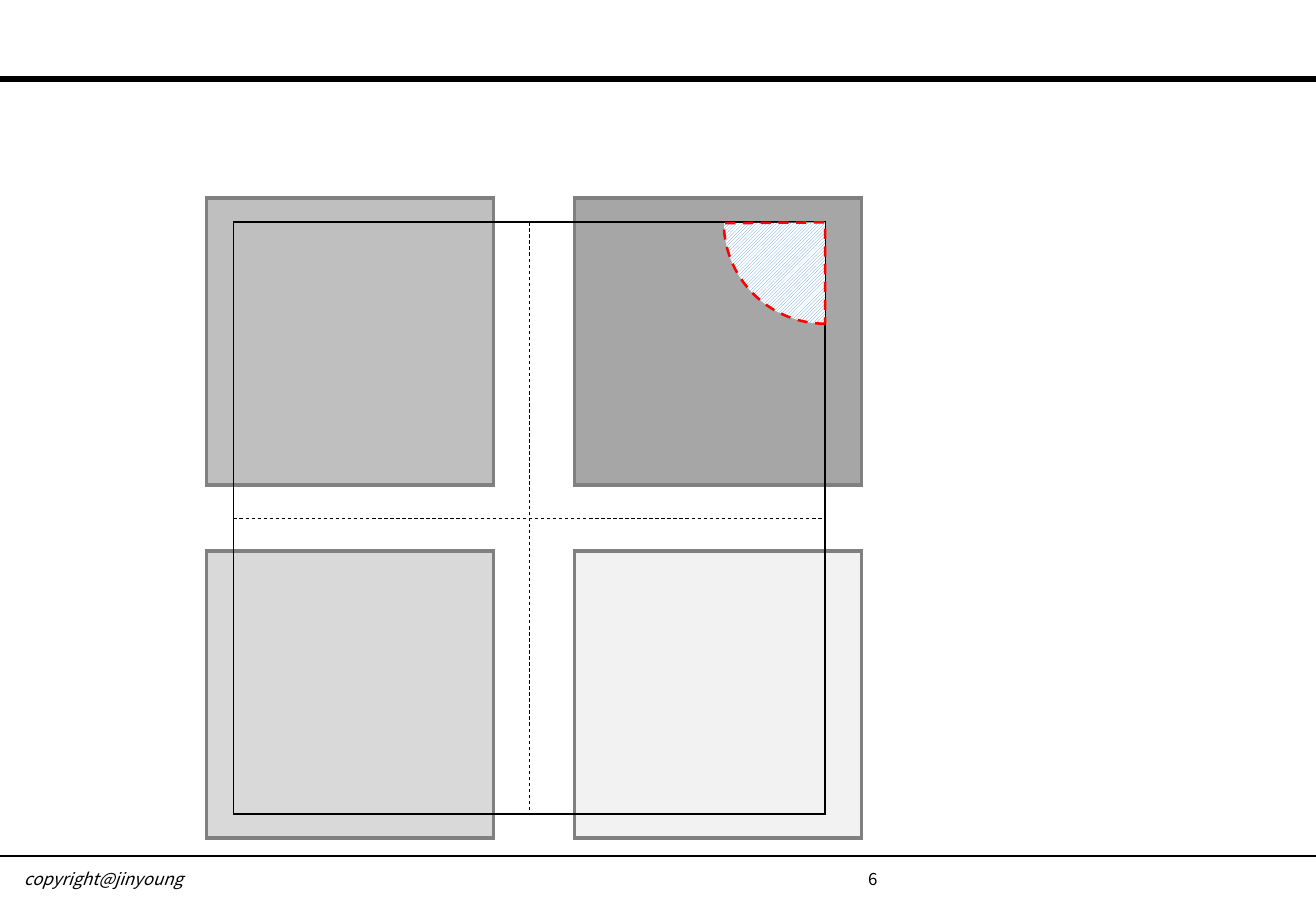
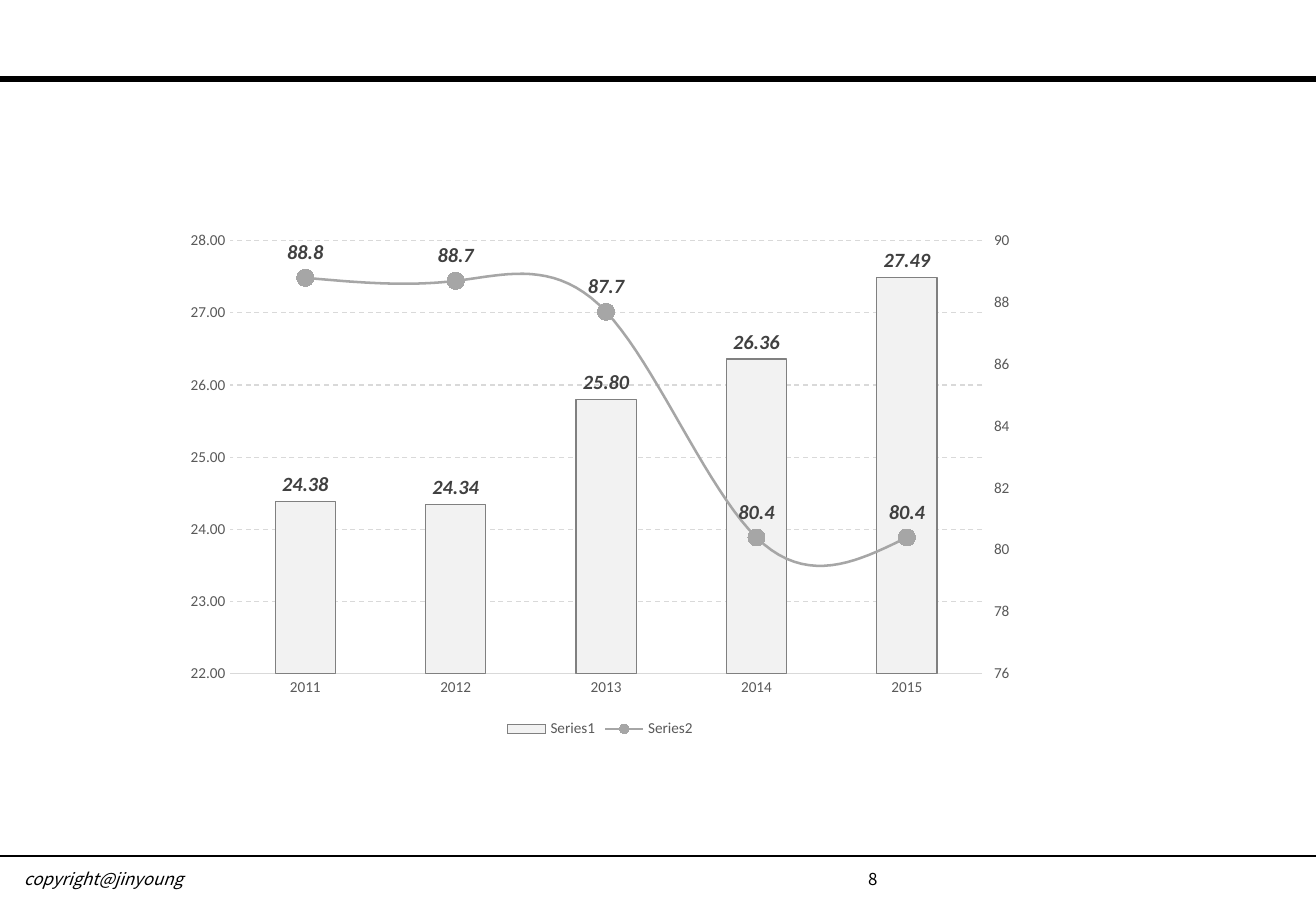
from lxml import etree
from pptx import Presentation
from pptx.chart.axis import ValueAxis
from pptx.chart.data import CategoryChartData
from pptx.dml.color import RGBColor
from pptx.enum.chart import XL_CHART_TYPE as CHART
from pptx.enum.chart import XL_LABEL_POSITION as LABEL
from pptx.enum.chart import XL_LEGEND_POSITION as LEGEND
from pptx.enum.chart import XL_MARKER_STYLE as MARKER
from pptx.enum.chart import XL_TICK_MARK as TICK
from pptx.enum.dml import MSO_LINE, MSO_PATTERN
from pptx.enum.shapes import MSO_CONNECTOR, MSO_SHAPE
from pptx.oxml import parse_xml
from pptx.oxml.ns import nsdecls, qn
from pptx.util import Cm, Pt

BLACK = RGBColor(0x00, 0x00, 0x00)
WHITE = RGBColor(0xFF, 0xFF, 0xFF)
RED = RGBColor(0xFF, 0x00, 0x00)
BLUE = RGBColor(0x5B, 0x9B, 0xD5)
BORDER = RGBColor(0x80, 0x80, 0x80)
GRID = RGBColor(0xD9, 0xD9, 0xD9)
AXIS_TEXT = RGBColor(0x59, 0x59, 0x59)
LABEL_TEXT = RGBColor(0x40, 0x40, 0x40)
GRAY_1 = RGBColor(0xF2, 0xF2, 0xF2)
GRAY_2 = RGBColor(0xD9, 0xD9, 0xD9)
GRAY_3 = RGBColor(0xBF, 0xBF, 0xBF)
GRAY_4 = RGBColor(0xA6, 0xA6, 0xA6)

FOOTER_FONT = "Noto Sans CJK KR"
CHART_FONT = "Calibri"
WIDTH, HEIGHT = Cm(27.51), Cm(19.05)


def set_line(line, color, width, dash=None):
    line.color.rgb = color
    line.width = Pt(width)
    if dash:
        line.dash_style = dash


def set_font(font, size, color, name, bold=None, italic=None):
    font.size, font.name = Pt(size), name
    font.bold, font.italic = bold, italic
    font.color.rgb = color


def add_line(s, x1, y1, x2, y2, width, dash=None):
    line = s.shapes.add_connector(MSO_CONNECTOR.STRAIGHT, x1, y1, x2, y2)
    set_line(line.line, BLACK, width, dash)
    etree.SubElement(line._element.spPr, qn("a:effectLst"))
    return line


def add_box(s, kind, x, y, size, color, width, fill=None, dash=None):
    sp = s.shapes.add_shape(kind, x, y, size, size)
    sp.shadow.inherit = False
    if fill is None:
        sp.fill.background()
    else:
        sp.fill.solid()
        sp.fill.fore_color.rgb = fill
    set_line(sp.line, color, width, dash)
    # Sharp corners
    etree.SubElement(sp._element.spPr.find(qn("a:ln")), qn("a:miter"), lim="800000")
    return sp


def add_base_slide(prs, number):
    """Blank slide with the header rule, footer rule and footer text."""
    s = prs.slides.add_slide(prs.slide_layouts[6])
    for y, width in ((Cm(1.65), 3.5), (Cm(17.9), 1)):
        add_line(s, 0, y, WIDTH, y, width)

    tf = s.shapes.add_textbox(Cm(0.25), Cm(18.03), Cm(26.8), Cm(1.12)).text_frame
    tf.word_wrap = True
    p = tf.paragraphs[0]
    tabs = etree.SubElement(p._p.get_or_add_pPr(), qn("a:tabLst"))
    etree.SubElement(tabs, qn("a:tab"), pos=str(Cm(17.65)), algn="l")
    for text, italic in (("copyright@jinyoung", True), (f"\t{number}", False)):
        r = p.add_run()
        r.text = text
        set_font(r.font, 10, BLACK, FOOTER_FONT, italic=italic)
    return s


def add_quadrants(s, x, y):
    """Four squares under a frame with centre lines and a corner sector."""
    side, step_x, step_y = Cm(6), Cm(7.69), Cm(7.39)
    for i, fill in enumerate((GRAY_3, GRAY_4, GRAY_2, GRAY_1)):
        row, col = divmod(i, 2)
        add_box(s, MSO_SHAPE.RECTANGLE, x + col * step_x, y + row * step_y,
                side, BORDER, 2.25, fill)

    frame_x, frame_y, frame_side = x + Cm(0.56), y + Cm(0.51), Cm(12.37)
    frame = add_box(s, MSO_SHAPE.RECTANGLE, frame_x, frame_y, frame_side, BLACK, 1)
    for begin, end in ((1, 3), (0, 2)):
        line = add_line(s, 0, 0, 0, 0, 0.5, MSO_LINE.DASH)
        line.begin_connect(frame, begin)
        line.end_connect(frame, end)

    # Sector centred on the top right corner of the frame
    radius = Cm(2.12)
    sector = add_box(s, MSO_SHAPE.PIE, frame_x + frame_side - radius,
                     frame_y - radius, 2 * radius, RED, 1.5, dash=MSO_LINE.DASH)
    sector.rotation = 90
    sector.adjustments[0] = 0
    sector.adjustments[1] = 53.687
    sector.fill.patterned()
    sector.fill.pattern = MSO_PATTERN.LIGHT_UPWARD_DIAGONAL
    sector.fill.fore_color.rgb = BLUE
    sector.fill.back_color.rgb = WHITE


def move_to_second_axis(chart):
    """Turn the last column series into a line on a right-hand axis."""
    plot_area = chart._chartSpace.chart.plotArea
    bars = plot_area.find(qn("c:barChart"))
    ser = bars.findall(qn("c:ser"))[-1]
    invert = ser.find(qn("c:invertIfNegative"))
    if invert is not None:
        ser.remove(invert)
    lines = parse_xml(
        f'<c:lineChart {nsdecls("c")}><c:grouping val="standard"/>'
        '<c:varyColors val="0"/><c:marker val="1"/>'
        '<c:axId val="5001"/><c:axId val="5002"/></c:lineChart>')
    lines.insert(2, ser)
    bars.addnext(lines)

    def axis(tag, own, other, deleted, pos, crosses):
        return parse_xml(
            f'<c:{tag} {nsdecls("c")}><c:axId val="{own}"/>'
            '<c:scaling><c:orientation val="minMax"/></c:scaling>'
            f'<c:delete val="{deleted}"/><c:axPos val="{pos}"/>'
            '<c:numFmt formatCode="General" sourceLinked="0"/>'
            '<c:majorTickMark val="out"/><c:minorTickMark val="none"/>'
            f'<c:tickLblPos val="nextTo"/><c:crossAx val="{other}"/>'
            f'<c:crosses val="{crosses}"/></c:{tag}>')

    right = axis("valAx", 5002, 5001, 0, "r", "max")
    hidden = axis("catAx", 5001, 5002, 1, "b", "autoZero")
    plot_area.find(qn("c:valAx")).addnext(right)
    right.addnext(hidden)
    return ValueAxis(right)


def set_scale(axis, low, high, step):
    axis.minimum_scale, axis.maximum_scale = low, high
    axis.major_unit = step
    axis.format.line.fill.background()


def add_labels(series, position, number_format):
    labels = series.data_labels
    labels.show_value = True
    labels.position = position
    labels.number_format = number_format
    labels.number_format_is_linked = False
    set_font(labels.font, 12, LABEL_TEXT, CHART_FONT, bold=True, italic=True)


def add_combined_chart(s, x, y, w, h):
    data = CategoryChartData()
    data.categories = ["2011", "2012", "2013", "2014", "2015"]
    data.add_series("Series1", (24.38, 24.34, 25.80, 26.36, 27.49))
    data.add_series("Series2", (88.8, 88.7, 87.7, 80.4, 80.4))
    chart = s.shapes.add_chart(CHART.COLUMN_CLUSTERED, x, y, w, h, data).chart
    set_font(chart.font, 10, BLACK, CHART_FONT)
    chart.has_title = False
    chart.has_legend = True
    chart.legend.position = LEGEND.BOTTOM
    chart.legend.include_in_layout = False

    # Axes: the left one is fetched while it is the only value axis
    years, left = chart.category_axis, chart.value_axis
    right = move_to_second_axis(chart)
    set_scale(left, 22, 28, 1)
    set_scale(right, 76, 90, 2)
    left.tick_labels.number_format = "#,##0.00"
    left.tick_labels.number_format_is_linked = False
    set_line(left.major_gridlines.format.line, GRID, 0.75, MSO_LINE.DASH)
    set_line(years.format.line, GRID, 0.75)
    years.major_tick_mark = left.major_tick_mark = TICK.NONE
    for part in (years.tick_labels, left.tick_labels, right.tick_labels, chart.legend):
        set_font(part.font, 9, AXIS_TEXT, CHART_FONT)

    # Columns
    columns, lines = chart.plots
    columns.gap_width = 150
    columns.vary_by_categories = False
    bar = columns.series[0]
    bar.format.fill.solid()
    bar.format.fill.fore_color.rgb = GRAY_1
    set_line(bar.format.line, BORDER, 0.75)
    add_labels(bar, LABEL.OUTSIDE_END, "0.00")

    # Smooth line
    curve = lines.series[0]
    curve.smooth = True
    set_line(curve.format.line, GRAY_4, 1.5)
    curve.marker.style = MARKER.CIRCLE
    curve.marker.size = 10
    curve.marker.format.fill.solid()
    curve.marker.format.fill.fore_color.rgb = GRAY_4
    set_line(curve.marker.format.line, GRAY_4, 0.75)
    add_labels(curve, LABEL.ABOVE, "0.0")


def main():
    prs = Presentation()
    prs.slide_width, prs.slide_height = WIDTH, HEIGHT
    add_quadrants(add_base_slide(prs, 6), Cm(4.32), Cm(4.14))
    add_combined_chart(add_base_slide(prs, 8), Cm(3.63), Cm(4.63), Cm(17.83), Cm(10.9))
    prs.save("out.pptx")


if __name__ == "__main__":
    main()
